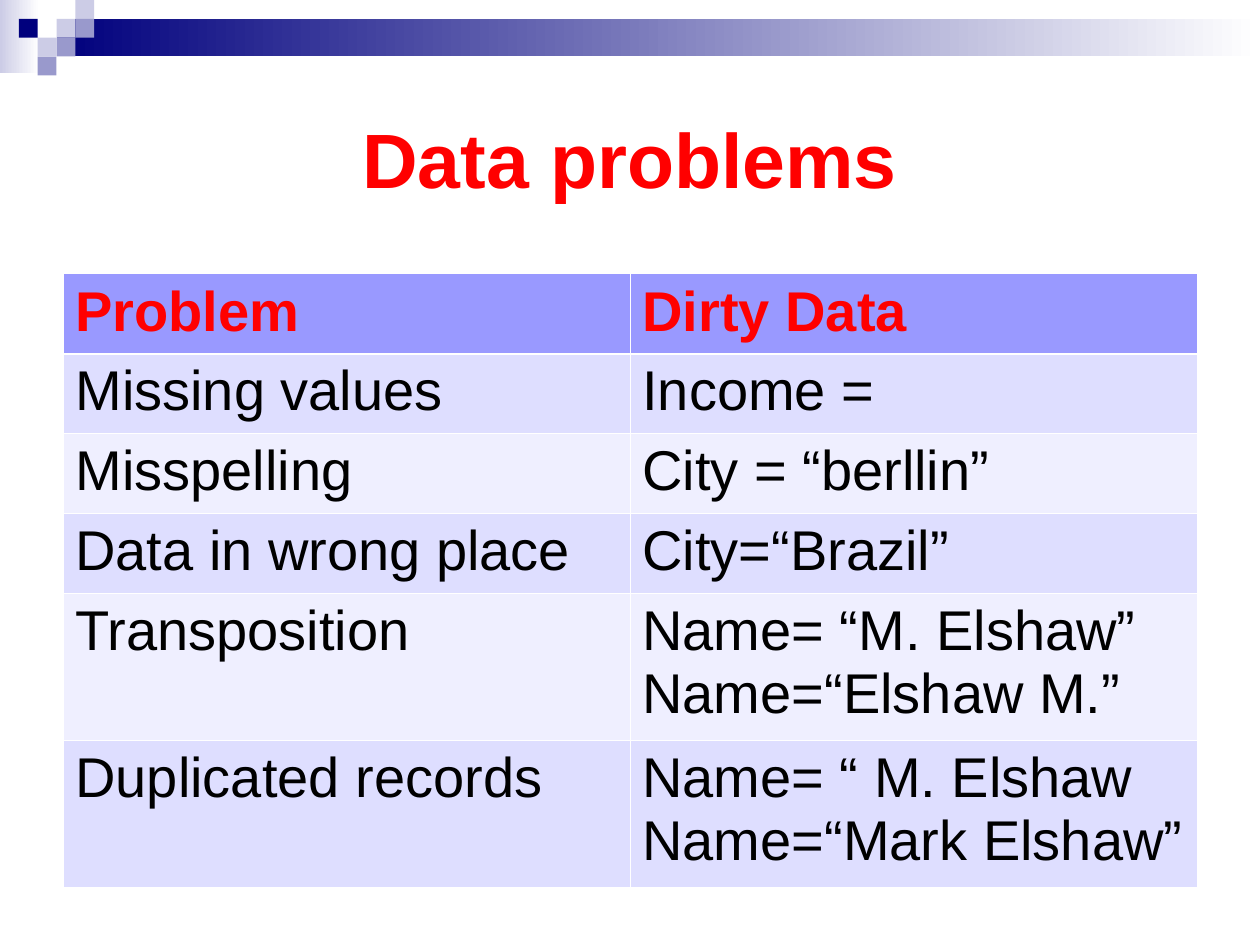
from dataclasses import dataclass

from lxml import etree
from pptx import Presentation
from pptx.dml.color import RGBColor
from pptx.enum import shapes, text
from pptx.oxml import ns
from pptx.util import Cm, Pt


@dataclass(frozen=True)
class Theme:
    font: str = "Arial"
    title_size: int = 44
    table_size: int = 32
    accent: str = "FF0000"
    body: str = "000000"
    white: str = "FFFFFF"
    navy: str = "00007D"
    lavender: str = "CCCCE6"
    violet: str = "9999CC"
    header_fill: str = "9999FF"
    band_fills: tuple = ("DEDEFF", "EFEFFF")


THEME = Theme()


def add_run(paragraph, words, size, color, bold):
    run = paragraph.add_run()
    run.text = words
    run.font.name = THEME.font
    run.font.size = Pt(size)
    run.font.bold = bold
    run.font.color.rgb = RGBColor.from_string(color)


def add_border(cell, side, width):
    """Draw one white cell edge; call before the cell is filled."""
    edge = etree.SubElement(cell._tc.get_or_add_tcPr(), ns.qn(f"a:ln{side}"), w=str(Pt(width)))
    paint = etree.SubElement(edge, ns.qn("a:solidFill"))
    etree.SubElement(paint, ns.qn("a:srgbClr"), val=THEME.white)


deck = Presentation()
deck.slide_width, deck.slide_height = Cm(25.4), Cm(19.05)
slide = deck.slides.add_slide(deck.slide_layouts[5])

# Banner: left, top, width, height in cm, then one colour or a gradient pair
TILE = 0.38
banner = [
    (0, 0, 0.79, 1.47, (THEME.lavender, THEME.white)),
    (1.14, TILE, 24.26, 0.76, (THEME.navy, THEME.white)),
]
tiles = [
    (3, 1, THEME.lavender), (4, 0, THEME.lavender), (4, 1, THEME.violet),
    (2, 2, THEME.lavender), (1, 1, THEME.navy), (3, 2, THEME.violet), (2, 3, THEME.violet),
]
banner += [(column * TILE, row * TILE, TILE, TILE, (color,)) for column, row, color in tiles]

for left, top, width, height, colors in banner:
    block = slide.shapes.add_shape(
        shapes.MSO_SHAPE.RECTANGLE, Cm(left), Cm(top), Cm(width), Cm(height))
    block.shadow.inherit = False
    block.line.fill.background()
    if len(colors) == 1:
        block.fill.solid()
        block.fill.fore_color.rgb = RGBColor.from_string(colors[0])
    else:
        block.fill.gradient()
        block.fill.gradient_angle = 0
        for stop, color in zip(block.fill.gradient_stops, colors):
            stop.color.rgb = RGBColor.from_string(color)

# Title
title = slide.shapes.title
title.left, title.top, title.width, title.height = Cm(1.27), Cm(1.27), Cm(22.86), Cm(3.81)
title.text_frame.vertical_anchor = text.MSO_ANCHOR.MIDDLE
heading = title.text_frame.paragraphs[0]
heading.alignment = text.PP_ALIGN.CENTER
add_run(heading, "Data problems", THEME.title_size, THEME.accent, True)

# Table of problems, each with the lines of its example
problems = [
    ("Problem", ["Dirty Data"]),
    ("Missing values", ["Income ="]),
    ("Misspelling", ["City = “berllin”"]),
    ("Data in wrong place", ["City=“Brazil”"]),
    ("Transposition", ["Name= “M. Elshaw”", "Name=“Elshaw M.”"]),
    ("Duplicated records", ["Name= “ M. Elshaw", "Name=“Mark Elshaw”"]),
]
ROW_HEIGHTS = {1: 1.61, 2: 2.96}
THIN, THICK = 0.45, 1.47

table = slide.shapes.add_table(
    len(problems), 2, Cm(1.27), Cm(5.52), Cm(22.86), Cm(12.36)).table
for column in table.columns:
    column.width = Cm(11.43)

for index, (problem, examples) in enumerate(problems):
    is_header = index == 0
    table.rows[index].height = Cm(ROW_HEIGHTS[len(examples)])
    fill = THEME.header_fill if is_header else THEME.band_fills[(index - 1) % 2]
    color = THEME.accent if is_header else THEME.body
    for cell, lines in zip(table.rows[index].cells, ([problem], examples)):
        cell.margin_left = cell.margin_right = Cm(0.25)
        cell.margin_top = cell.margin_bottom = Cm(0.13)
        add_border(cell, "L", THIN)
        add_border(cell, "R", THIN)
        add_border(cell, "T", THICK if index == 1 else THIN)
        add_border(cell, "B", THICK if is_header else THIN)
        cell.fill.solid()
        cell.fill.fore_color.rgb = RGBColor.from_string(fill)
        for number, line in enumerate(lines):
            frame = cell.text_frame
            paragraph = frame.add_paragraph() if number else frame.paragraphs[0]
            add_run(paragraph, line, THEME.table_size, color, is_header)

deck.save("out.pptx")
